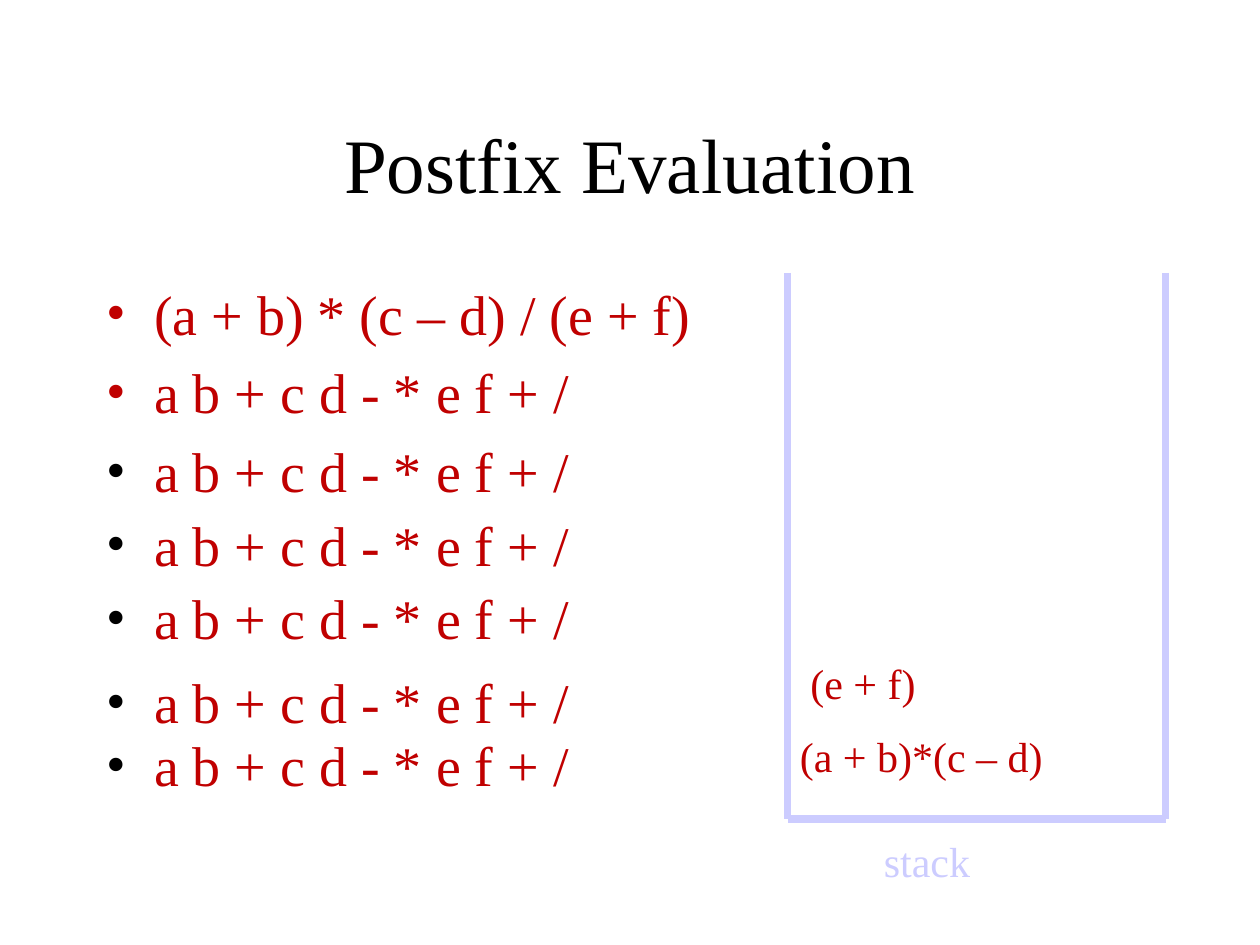
from lxml import etree
from pptx import Presentation, util as u
from pptx.dml.color import RGBColor
from pptx.enum import shapes, text
from pptx.oxml.ns import qn

BLACK = RGBColor(0x00, 0x00, 0x00)
RED = RGBColor(0xC0, 0x00, 0x00)
LILAC = RGBColor(0xCC, 0xCC, 0xFF)
FONT = "Times New Roman"
COLS, ROWS = 120, 90
WIDTH, HEIGHT = u.Inches(10), u.Inches(7.5)
LEFT, TOP = 9, 26
WALL_L, WALL_R, FLOOR = 75, 111, 78
INDENT = 4.5
INFIX = "(a + b) * (c – d) / (e + f)"
POSTFIX = "a b + c d - * e f + /"
STEP_ROWS = (41, 48, 55, 63, 69)


def x(cols):
    return int(WIDTH * cols / COLS)


def y(rows):
    return int(HEIGHT * rows / ROWS)


def set_attrs(obj, values):
    for name, value in values.items():
        setattr(obj, name, value)


def space_before(p, percent):
    bef = etree.SubElement(p._p.get_or_add_pPr(), qn("a:spcBef"))
    etree.SubElement(bef, qn("a:spcPct"), val=str(percent * 1000))


def add_bullet(p, color):
    pPr = p._p.get_or_add_pPr()
    pPr.set("marL", str(x(INDENT)))
    pPr.set("indent", str(-x(INDENT)))
    clr = etree.SubElement(pPr, qn("a:buClr"))
    etree.SubElement(clr, qn("a:srgbClr"), val=str(color))
    etree.SubElement(pPr, qn("a:buFont"), typeface=FONT)
    etree.SubElement(pPr, qn("a:buChar"), char="•")


def add_text(s, box, lines, size, color, before=0, bullet=None,
             align=text.PP_ALIGN.LEFT, anchor=text.MSO_ANCHOR.TOP):
    left, top, width, height = box
    sp = s.shapes.add_textbox(x(left), y(top), x(width), y(height))
    tf = sp.text_frame
    set_attrs(tf, {"word_wrap": True, "vertical_anchor": anchor})
    for i, line in enumerate(lines):
        p = tf.add_paragraph() if i else tf.paragraphs[0]
        p.alignment = align
        if before:
            space_before(p, before)
        if bullet is not None:
            add_bullet(p, bullet)
        r = p.add_run()
        r.text = line
        set_attrs(r.font, {"name": FONT, "size": u.Pt(size)})
        r.font.color.rgb = color


def add_bullets(s, top, height, lines, bullet):
    add_text(s, (LEFT, top, 59, height), lines, 32, RED, 20, bullet)


def add_label(s, box, line, color):
    add_text(s, box, [line], 24, color, 50)


def add_wall(s, x1, y1, x2, y2):
    sp = s.shapes.add_connector(shapes.MSO_CONNECTOR.STRAIGHT,
                                x(x1), y(y1), x(x2), y(y2))
    sp.line.color.rgb = LILAC
    sp.line.width = u.Pt(4.5)
    etree.SubElement(sp._element.spPr, qn("a:effectLst"))


def add_stack(s):
    for wall in (WALL_L, WALL_R):
        add_wall(s, wall, TOP, wall, FLOOR)
    add_wall(s, WALL_L, FLOOR, WALL_R, FLOOR)
    add_label(s, (83, 79, 15, 7.5), "stack", LILAC)
    add_label(s, (WALL_L, 69, 36, 6), "(a + b)*(c – d)", RED)
    add_label(s, (76, 62, 20, 6), "(e + f)", RED)


def main():
    prs = Presentation()
    set_attrs(prs, {"slide_width": WIDTH, "slide_height": HEIGHT})
    s = prs.slides.add_slide(prs.slide_layouts[6])
    add_text(s, (LEFT, 8, 102, 15), ["Postfix Evaluation"], 44, BLACK,
             align=text.PP_ALIGN.CENTER, anchor=text.MSO_ANCHOR.MIDDLE)
    add_bullets(s, TOP, 17, [INFIX, POSTFIX], RED)
    add_stack(s)
    for row in STEP_ROWS:
        add_bullets(s, row, 8, [POSTFIX], BLACK)
    prs.save("out.pptx")


main()
